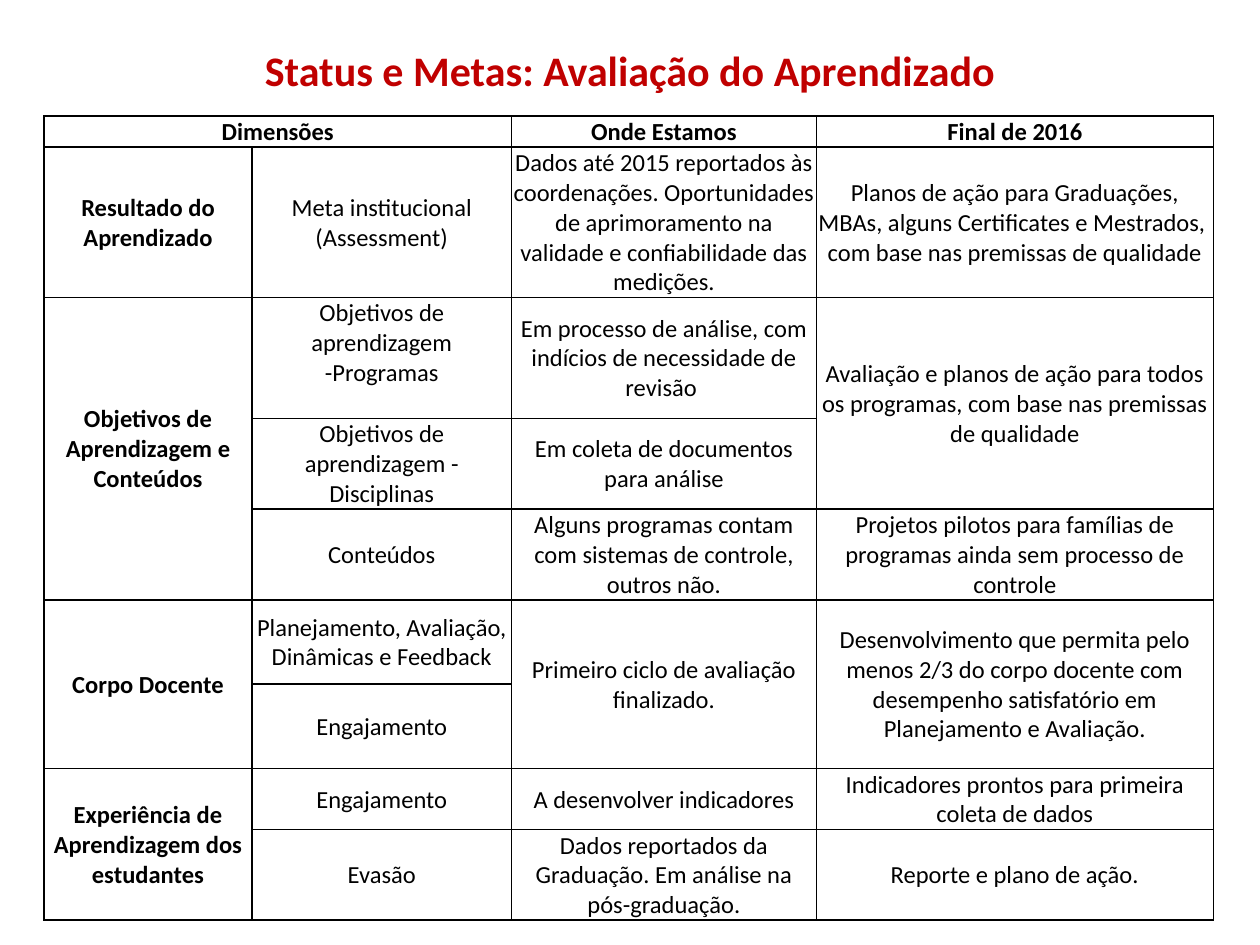
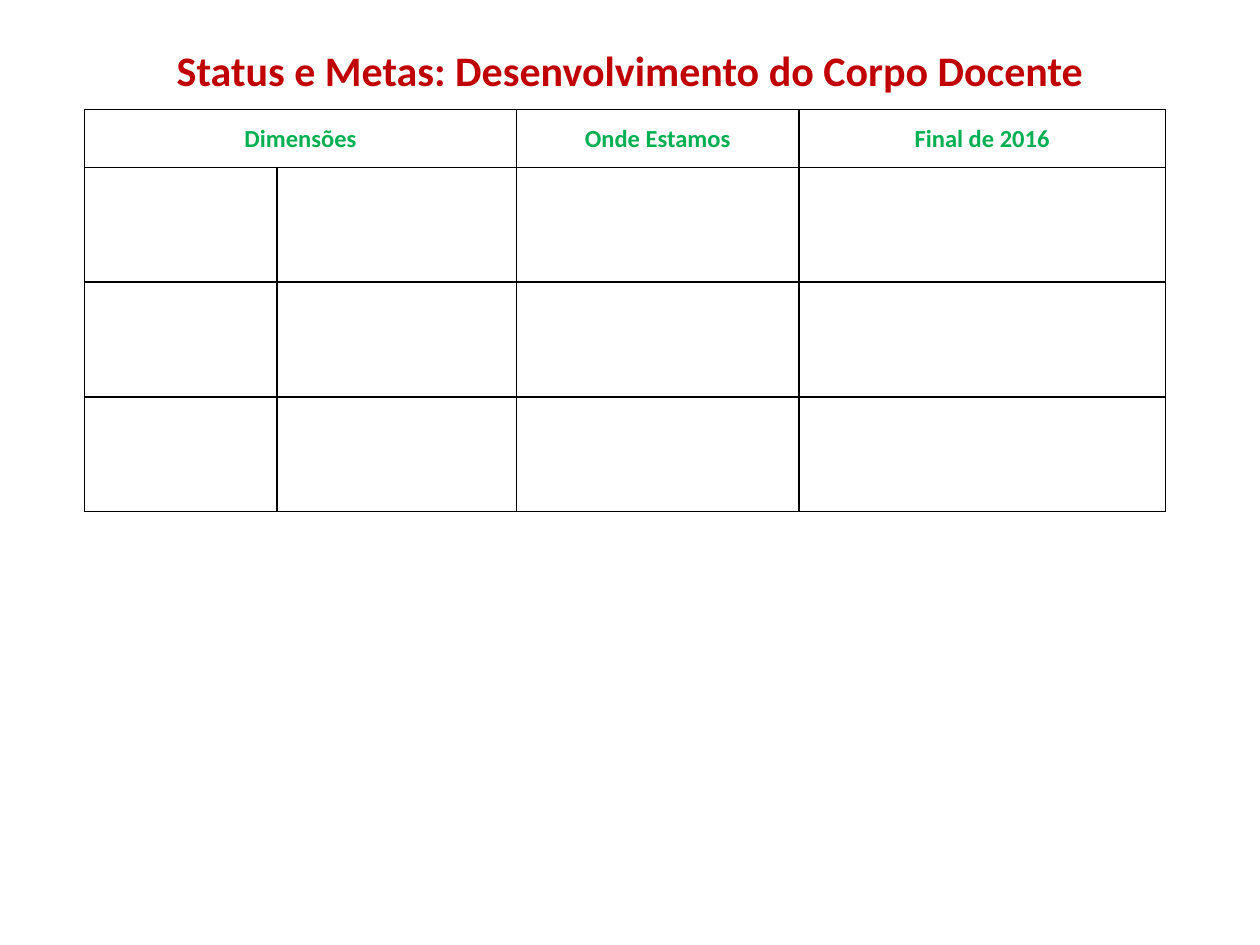
from lxml.etree import SubElement
from pptx import Presentation
from pptx.dml.color import RGBColor
from pptx.enum.text import MSO_ANCHOR as Anchor, PP_ALIGN as Align
from pptx.oxml.ns import qn
from pptx.util import Inches, Pt

RED = RGBColor(0xC0, 0x00, 0x00)
GREEN = RGBColor(0x00, 0xB0, 0x50)
BLACK = RGBColor(0x00, 0x00, 0x00)
FONT = "Calibri"
TITLE_BOX = (0.5, 0.3, 9, 1.95)
HEADS = ["Dimensões", "", "Onde Estamos", "Final de 2016"]
HEAD_SPAN = (0, 0, 0, 1)

GOALS = [
    ["Resultado do Aprendizado", "Meta institucional (Assessment)",
     "Dados até 2015 reportados às coordenações. Oportunidades de "
     "aprimoramento na validade e confiabilidade das medições.",
     "Planos de ação para Graduações, MBAs, alguns Certificates e Mestrados, \n"
     "com base nas premissas de qualidade"],
    ["Objetivos de Aprendizagem e Conteúdos",
     "Objetivos de aprendizagem -Programas",
     "Em processo de análise, com indícios de necessidade de revisão ",
     "Avaliação e planos de ação para todos os programas, com base nas "
     "premissas de qualidade"],
    ["", "Objetivos de aprendizagem - Disciplinas",
     "Em coleta de documentos para análise", ""],
    ["", "Conteúdos",
     "Alguns programas contam com sistemas de controle, outros não.",
     "Projetos pilotos para famílias de programas ainda sem processo de controle"],
    ["Corpo Docente", "Planejamento, Avaliação, Dinâmicas e Feedback",
     "Primeiro ciclo de avaliação finalizado.",
     "Desenvolvimento que permita pelo menos 2/3 do corpo docente com "
     "desempenho satisfatório em Planejamento e Avaliação."],
    ["", "Engajamento", "", ""],
    ["Experiência de Aprendizagem dos estudantes", "Engajamento",
     "A desenvolver indicadores",
     "Indicadores prontos para primeira coleta de dados"],
    ["", "Evasão",
     "Dados reportados da Graduação. Em análise na pós-graduação.",
     "Reporte e plano de ação."],
]
GOAL_SPANS = [(2, 0, 4, 0), (2, 3, 3, 3), (5, 0, 6, 0),
              (5, 2, 6, 2), (5, 3, 6, 3), (7, 0, 8, 0)]


def style(para, size, color, bold):
    """Centre a paragraph and format its runs."""
    para.alignment = Align.CENTER
    for run in para.runs:
        font = run.font
        font.name, font.size, font.bold = FONT, Pt(size), bold
        font.color.rgb = color


def add_title(slide, text, box=TITLE_BOX):
    """Write the slide title at the top of its box."""
    frame = slide.shapes.add_textbox(*map(Inches, box)).text_frame
    frame.word_wrap = True
    frame.vertical_anchor = Anchor.TOP
    frame.text = text
    style(frame.paragraphs[0], 24, RED, True)


def add_edges(cell):
    """Draw a thin black line on each side of a cell."""
    props = cell._tc.get_or_add_tcPr()
    for side in ("lnL", "lnR", "lnT", "lnB"):
        line = SubElement(props, qn(f"a:{side}"), w=str(Pt(1)))
        fill = SubElement(line, qn("a:solidFill"))
        SubElement(fill, qn("a:srgbClr"), val=str(BLACK))


def fill_cell(cell, text, color, bold):
    """Set the text, margins, edges and fill of a cell."""
    add_edges(cell)
    cell.fill.background()
    cell.vertical_anchor = Anchor.MIDDLE
    cell.margin_left = cell.margin_right = cell.margin_top = Inches(0.01)
    cell.margin_bottom = 0
    if text:
        cell.text_frame.text = text
        for para in cell.text_frame.paragraphs:
            style(para, 14, color, bold)


def add_grid(slide, left, top, cols, rows, body, spans=(), color=BLACK):
    """Build a status table with a header row and merged cells."""
    data = [HEADS] + body
    box = map(Inches, (left, top, sum(cols), sum(rows)))
    table = slide.shapes.add_table(len(rows), len(cols), *box).table
    table.first_row = table.horz_banding = False
    for col, width in zip(table.columns, cols):
        col.width = Inches(width)
    for row, height in zip(table.rows, rows):
        row.height = Inches(height)
    for r, line in enumerate(data):
        for c, text in enumerate(line):
            fill_cell(table.cell(r, c), text, color, r == 0 or c == 0)
    for r1, c1, r2, c2 in [HEAD_SPAN, *spans]:
        table.cell(r1, c1).merge(table.cell(r2, c2))
    return table


def learning(slide):
    """Show the status and goals of learning assessment."""
    rows = [0.24, 1.19, 0.95, 0.72, 0.72, 0.67, 0.67, 0.48, 0.72]
    table = add_grid(slide, 0.35, 0.92, [1.65, 2.06, 2.42, 3.15], rows,
                     GOALS, GOAL_SPANS)
    table.cell(2, 1).margin_bottom = Inches(0.24)
    add_title(slide, "Status e Metas: Avaliação do Aprendizado")


def faculty(slide):
    """Show the empty status table of faculty development."""
    add_title(slide, "Status e Metas: Desenvolvimento do Corpo Docente")
    add_grid(slide, 0.67, 0.87, [1.53, 1.9, 2.24, 2.91],
             [0.46] + [0.91] * 3, [[""] * 4] * 3, color=GREEN)


def main():
    """Build and save the slides."""
    deck = Presentation()
    deck.slide_width, deck.slide_height = Inches(10), Inches(7.5)
    for build in (learning, faculty):
        build(deck.slides.add_slide(deck.slide_layouts[6]))
    deck.save("out.pptx")


if __name__ == "__main__":
    main()
